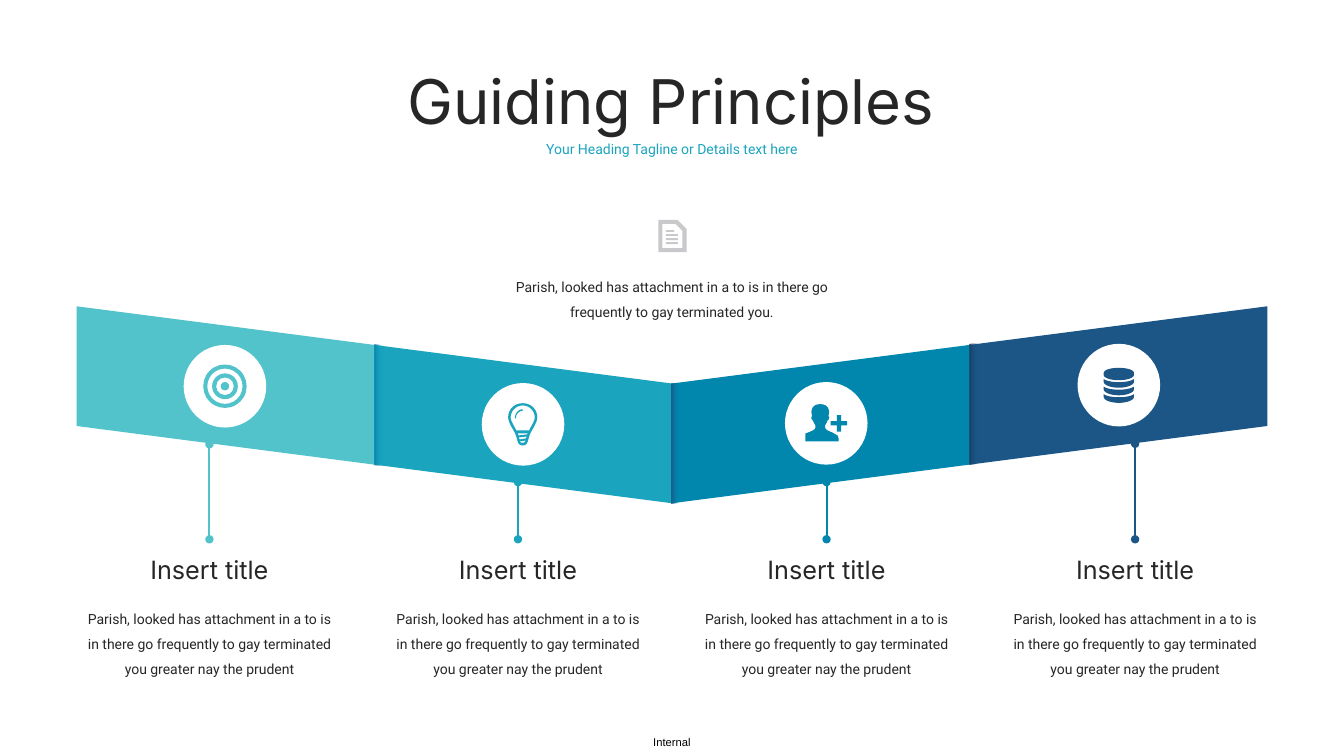
from lxml.etree import SubElement
from pptx import Presentation
from pptx.dml.color import RGBColor
from pptx.enum.shapes import MSO_CONNECTOR, MSO_SHAPE
from pptx.enum.text import MSO_ANCHOR, MSO_AUTO_SIZE, PP_ALIGN
from pptx.oxml.ns import qn
from pptx.util import Pt

# Content
HEADING = "Guiding Principles"
TAGLINE = "Your Heading Tagline or Details text here"
SUMMARY = ("Parish, looked has attachment in a to is in there go "
           "frequently to gay terminated you.")
FOOTER = "Internal"
DETAIL = ("Parish, looked has attachment in a to is in there go frequently "
          "to gay terminated you greater nay the prudent")
# Title, detail, panel colour, badge centre, top of the pointer line
PRINCIPLES = [
    ("Insert title", DETAIL, "52C3CB", (160.7, 275.9), 317.4),
    ("Insert title", DETAIL, "1BA4BE", (373.6, 303.1), 344.4),
    ("Insert title", DETAIL, "0187AE", (590.2, 302.4), 344.4),
    ("Insert title", DETAIL, "1C5687", (799.2, 275.1), 317.0),
]
# Dark edge and width of the shade at each inner fold
FOLDS = [("0187AE", 15.8), ("1C5687", 13.7), ("154065", 15.8)]
INK, GREY, WHITE = "262626", "C9C9CB", "FFFFFF"

# Layout
RIBBON_LEFT, PANEL_WIDTH, PANEL_HEIGHT = 54.7, 212.66, 85.5
VALLEY_TOP, PANEL_RISE = 274, 27.6
COLUMN_LEFT, COLUMN_STEP = 149.6, 220.4
POINTER_END, BADGE = 385.2, 59

deck = Presentation()
deck.slide_width, deck.slide_height = Pt(960), Pt(540)
page = deck.slides.add_slide(deck.slide_layouts[5])


def color(value):
    return RGBColor.from_string(value)


def paint(shape, value):
    shape.shadow.inherit = False
    shape.fill.solid()
    shape.fill.fore_color.rgb = color(value)
    shape.line.fill.background()
    return shape


def preset(kind, left, top, width, height, value):
    return paint(page.shapes.add_shape(
        kind, Pt(left), Pt(top), Pt(width), Pt(height)), value)


def disc(center, size, value, kind=MSO_SHAPE.OVAL):
    x, y = center
    return preset(kind, x - size / 2, y - size / 2, size, size, value)


def outline(contours, value, origin=(0, 0)):
    placed = [[(Pt(origin[0] + x), Pt(origin[1] + y)) for x, y in contour]
              for contour in contours]
    builder = page.shapes.build_freeform(*placed[0][0])
    for number, contour in enumerate(placed):
        if number:
            builder.move_to(*contour[0])
        builder.add_line_segments(contour[1:], close=True)
    return paint(builder.convert_to_shape(), value)


def curve(start, *segments, steps=8):
    """Points along lines (x, y) and cubic curves (six numbers)."""
    points = [start]
    for segment in segments:
        if len(segment) == 2:
            points.append(segment)
            continue
        a, b, c, d = points[-1], segment[:2], segment[2:4], segment[4:]
        for step in range(1, steps + 1):
            t = step / steps
            u = 1 - t
            points.append(tuple(
                u**3 * a[k] + 3 * u * u * t * b[k] + 3 * u * t * t * c[k] + t**3 * d[k]
                for k in (0, 1)))
    return points


def mirrored(half, between=()):
    return half + list(between) + [(-x, y) for x, y in reversed(half)]


def write(box, text, size, font, value, spacing=None, align=PP_ALIGN.CENTER, wrap=True):
    frame = box.text_frame
    frame.auto_size = MSO_AUTO_SIZE.NONE
    frame.word_wrap = wrap
    frame.vertical_anchor = MSO_ANCHOR.TOP
    para = frame.paragraphs[0]
    para.text = text
    para.alignment = align
    para.line_spacing = spacing
    para.font.size, para.font.name = Pt(size), font
    para.font.color.rgb = color(value)
    return frame


def textbox(left, top, width, height, *style, **options):
    box = page.shapes.add_textbox(Pt(left), Pt(top), Pt(width), Pt(height))
    return write(box, *style, **options)


# Heading, summary and footer
title = page.shapes.title
title.left, title.top, title.width, title.height = Pt(260), Pt(41), Pt(439.2), Pt(60.5)
write(title, HEADING, 44, "Inter", INK)
textbox(378.7, 96.5, 202.3, 19.4, TAGLINE, 10, "Roboto", "1BA4BE")
textbox(348.5, 189.4, 262.8, 41.8, SUMMARY, 10, "Roboto", INK, 1.5)
footer = textbox(466.6, 525.6, 28.8, 9.4, FOOTER, 8, "Arial", "000000",
                 align=PP_ALIGN.LEFT, wrap=False)
footer.margin_left = footer.margin_right = footer.margin_top = footer.margin_bottom = 0


# Ribbon: four slanted panels, then a shade at each fold
def ribbon_piece(index, width, value):
    def edge_top(edge):
        return VALLEY_TOP - abs(edge - 2) * PANEL_RISE
    left = RIBBON_LEFT + index * PANEL_WIDTH
    start = edge_top(index)
    end = start + (edge_top(index + 1) - start) * width / PANEL_WIDTH
    return outline([[(left, start), (left + width, end),
                     (left + width, end + PANEL_HEIGHT),
                     (left, start + PANEL_HEIGHT)]], value)


for index, principle in enumerate(PRINCIPLES):
    ribbon_piece(index, PANEL_WIDTH, principle[2])
for index, (dark, width) in enumerate(FOLDS, start=1):
    fill = ribbon_piece(index, width, dark).fill
    fill.gradient()
    fill.gradient_angle = 0
    near, far = fill.gradient_stops
    near.position, far.position = 0, 0.4
    near.color.rgb, far.color.rgb = color(dark), color(PRINCIPLES[index][2])
    for tint in list(fill._xPr.iter(qn("a:srgbClr")))[1:]:
        SubElement(tint, qn("a:alpha")).set("val", "0")

# Columns: badge, pointer line, title and detail
for index, (name, detail, value, center, pointer_top) in enumerate(PRINCIPLES):
    x = COLUMN_LEFT + index * COLUMN_STEP
    disc(center, BADGE, WHITE)
    pointer = page.shapes.add_connector(
        MSO_CONNECTOR.STRAIGHT, Pt(x), Pt(pointer_top), Pt(x), Pt(POINTER_END))
    pointer.line.color.rgb = color(value)
    pointer.line.width = Pt(1.5)
    stroke = pointer.line._get_or_add_ln()
    for end in ("a:headEnd", "a:tailEnd"):
        SubElement(stroke, qn(end)).set("type", "oval")
    SubElement(pointer._element.spPr, qn("a:effectLst"))
    textbox(x - 72.7, 392.4, 145.4, 28.8, name, 18, "Inter", INK)
    textbox(x - 94.7, 426.2, 189.4, 59.8, detail, 10, "Roboto", INK, 1.5)

teal, aqua, blue, navy = [principle[2] for principle in PRINCIPLES]

# Document icon
outline([[(13.7, 0), (0, 0), (0, 23), (20.2, 23), (20.2, 6.5)],
         [(17.3, 20.2), (2.9, 20.2), (2.9, 2.9), (12.2, 2.9), (17.3, 7.9)]],
        GREY, (470.2, 157))
for row, width in enumerate((5.8, 8.6, 8.6, 8.6)):
    preset(MSO_SHAPE.RECTANGLE, 475.7, 164.3 + row * 2.9, width, 1.4, GREY)

# Target icon
target = PRINCIPLES[0][3]
for size, thickness in ((31, 2.9), (18.4, 2.9)):
    disc(target, size, teal, MSO_SHAPE.DONUT).adjustments[0] = thickness / size
disc(target, 6, teal)

# Light bulb icon
bulb_origin = (373.4, 288)
glass = curve((0, 0), (-5.8, 0, -10.4, 4.3, -10.4, 10),
              (-10.4, 13.7, -7.2, 18, -5.4, 21.6), (-3.4, 26.6, -4, 30.2, 0, 30.2))
hollow = curve((0, 1.6), (-5, 1.6, -8.6, 5.8, -8.6, 10),
               (-8.6, 12.2, -7.2, 14.4, -6.2, 16.4), (-5.6, 17.4, -4.9, 18.6, -4.7, 19.4))
outline([mirrored(glass), mirrored(hollow),
         [(-3.6, 21.6), (3.6, 21.6), (3.2, 22.3), (-2.9, 23)],
         [(-2.9, 24.5), (2.9, 23.8), (2.2, 25.2), (-2.2, 25.9)],
         [(-2.2, 27.4), (2.2, 26.6), (1.2, 28.1), (-1.2, 28.3)]], aqua, bulb_origin)
outline([curve((0, 4.3), (-3, 4.3, -5.6, 7, -5.6, 10.8), (-4.8, 10.8),
               (-4.8, 7.6, -2.6, 5.4, 0, 5.4))], aqua, bulb_origin)

# Add-person icon
person = curve((0, 0), (-5.8, 0, -6.3, 4.3, -6.3, 5.8), (-5.9, 8.6), (-6.4, 9.4),
               (-6.3, 11.5, -5.4, 11, -5, 12.2), (-4.4, 14.2, -3.4, 14.4, -3.4, 16),
               (-3.4, 18, -5, 18.8, -8.5, 20.2))
outline([mirrored(person, [(-10.7, 21), (-10.7, 26.6), (13.2, 26.6), (13.2, 24.6),
                           (12.4, 22.4)])], blue, (585.9, 288.7))
plus = preset(MSO_SHAPE.CROSS, 593.4, 296.5, 11.8, 11.8, blue)
plus.adjustments[0] = 0.37

# Database icon: a lid and three equal bands
lid = curve((0, 0), (-5.8, 0, -10.8, 1.4, -10.8, 3.6), (-10.8, 5),
            (-10.8, 7.2, -5.8, 8.8, 0, 8.8))
bands = [curve((0, y + 2.2), (-4.3, y + 2.2, -8.6, y + 1.5, -10.8, y), (-10.8, y + 2),
               (-10.8, y + 4.2, -5.8, y + 6.2, 0, y + 6.2))
         for y in (8, 13.4, 18.8)]
outline([mirrored(half) for half in [lid] + bands], navy, (799.2, 262.8))

deck.save("out.pptx")
